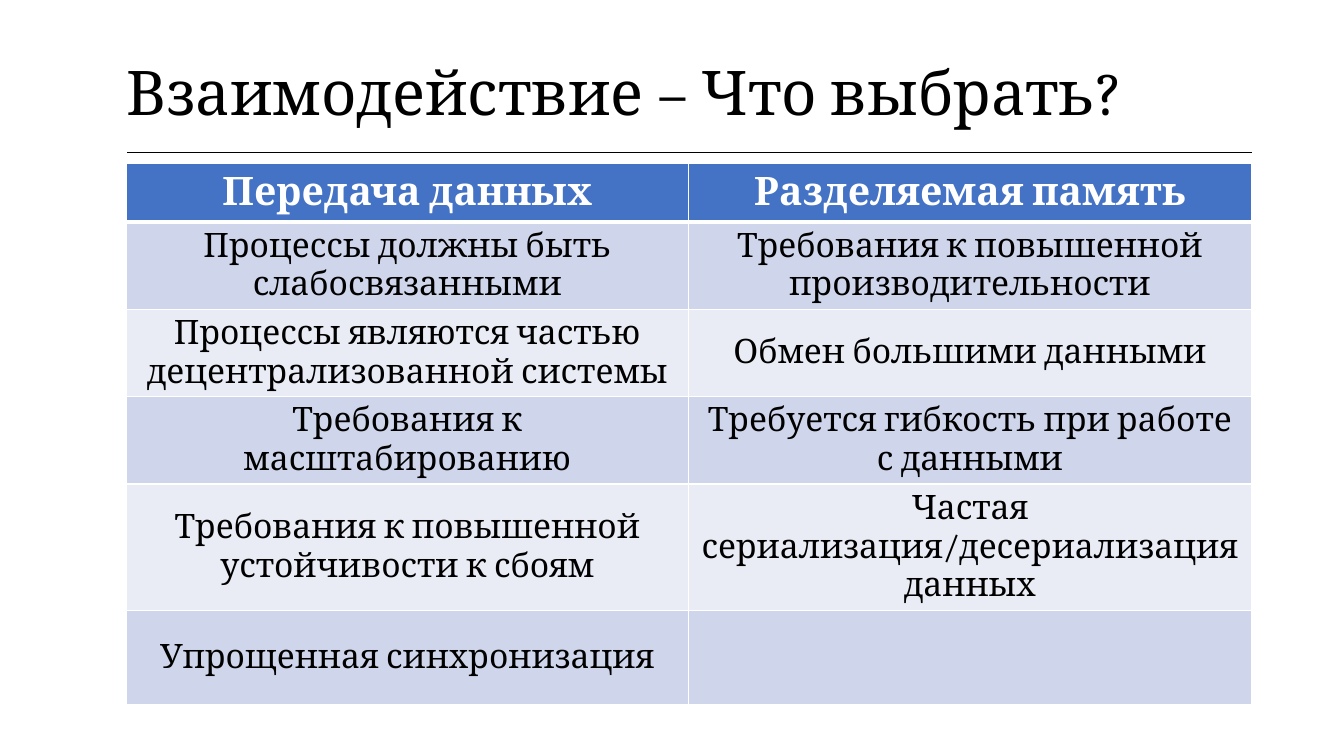
from dataclasses import dataclass

from lxml import etree
from pptx import Presentation
from pptx.dml.color import RGBColor
from pptx.enum.text import MSO_ANCHOR, PP_ALIGN
from pptx.oxml.ns import qn
from pptx.util import Inches, Pt

LEFT, CENTER = PP_ALIGN.LEFT, PP_ALIGN.CENTER
MIDDLE = MSO_ANCHOR.MIDDLE

FONT = "Cambria"
COLORS = {
    "black": "000000",
    "white": "FFFFFF",
    "header": "4472C4",
    "odd": "CFD5EA",
    "even": "E9EBF5",
}
MARGIN = 1.25
TITLE_TOP, TITLE_WIDTH, TITLE_HEIGHT = 0.4, 11.17, 1.11
TABLE_TOP, COLUMN_WIDTH = 1.62, 5.58


@dataclass
class Row:
    height: float
    message_passing: str
    shared_memory: str


ROWS = [
    Row(0.58, "Передача данных", "Разделяемая память"),
    Row(0.83, "Процессы должны быть слабосвязанными",
        "Требования к повышенной производительности"),
    Row(0.83, "Процессы являются частью децентрализованной системы",
        "Обмен большими данными"),
    Row(0.83, "Требования к масштабированию",
        "Требуется гибкость при работе с данными"),
    Row(1.19, "Требования к повышенной устойчивости к сбоям",
        "Частая сериализация/десериализация данных"),
    Row(0.94, "Упрощенная синхронизация", ""),
]


def rgb(name: str) -> RGBColor:
    return RGBColor.from_string(COLORS[name])


def add_table(s, top: float, widths: list[float], heights: list[float]):
    table = s.shapes.add_table(
        len(heights), len(widths), Inches(MARGIN), Inches(top),
        Inches(sum(widths)), Inches(sum(heights))).table
    for column, width in zip(table.columns, widths):
        column.width = Inches(width)
    for row, height in zip(table.rows, heights):
        row.height = Inches(height)
    return table


def set_text(cell, text: str, size: float, color: str, bold: bool, align):
    cell.text = text
    cell.vertical_anchor = MIDDLE
    p = cell.text_frame.paragraphs[0]
    p.alignment = align
    p.font.name = FONT
    p.font.size = Pt(size)
    p.font.bold = bold
    p.font.color.rgb = rgb(color)
    return p


def set_borders(cell, color: str, widths: dict[str, float]) -> None:
    """Draw borders by side; the line elements must come before the fill."""
    tc_pr = cell._tc.get_or_add_tcPr()
    for i, (side, width) in enumerate(widths.items()):
        ln = etree.Element(qn(f"a:ln{side}"), w=str(Pt(width)))
        fill = etree.SubElement(ln, qn("a:solidFill"))
        etree.SubElement(fill, qn("a:srgbClr"), val=COLORS[color])
        tc_pr.insert(i, ln)


def add_title(s, text: str) -> None:
    table = add_table(s, TITLE_TOP, [TITLE_WIDTH], [TITLE_HEIGHT])
    table.first_row = table.horz_banding = False
    cell = table.cell(0, 0)
    p = set_text(cell, text, 44, "black", False, LEFT)
    p.line_spacing = 0.9
    cell.margin_left = cell.margin_right = 0
    cell.margin_top = cell.margin_bottom = 0
    cell.fill.background()
    set_borders(cell, "black", {"B": 1})


def fill_cell(cell, text: str, row: int) -> None:
    is_header = row == 0
    set_text(cell, text, 28 if is_header else 24,
             "white" if is_header else "black", is_header, CENTER)
    cell.fill.solid()
    band = "odd" if row % 2 else "even"
    cell.fill.fore_color.rgb = rgb("header" if is_header else band)
    set_borders(cell, "white", {"L": 1, "R": 1, "T": 3 if row == 1 else 1,
                                "B": 3 if is_header else 1})


def add_comparison(s, rows: list[Row]) -> None:
    table = add_table(s, TABLE_TOP, [COLUMN_WIDTH] * 2,
                      [row.height for row in rows])
    for i, row in enumerate(rows):
        for j, text in enumerate((row.message_passing, row.shared_memory)):
            fill_cell(table.cell(i, j), text, i)


def main() -> None:
    prs = Presentation()
    prs.slide_width, prs.slide_height = Inches(13.33), Inches(7.5)
    s = prs.slides.add_slide(prs.slide_layouts[6])
    add_title(s, "Взаимодействие – Что выбрать?")
    add_comparison(s, ROWS)
    prs.save("out.pptx")


if __name__ == "__main__":
    main()
